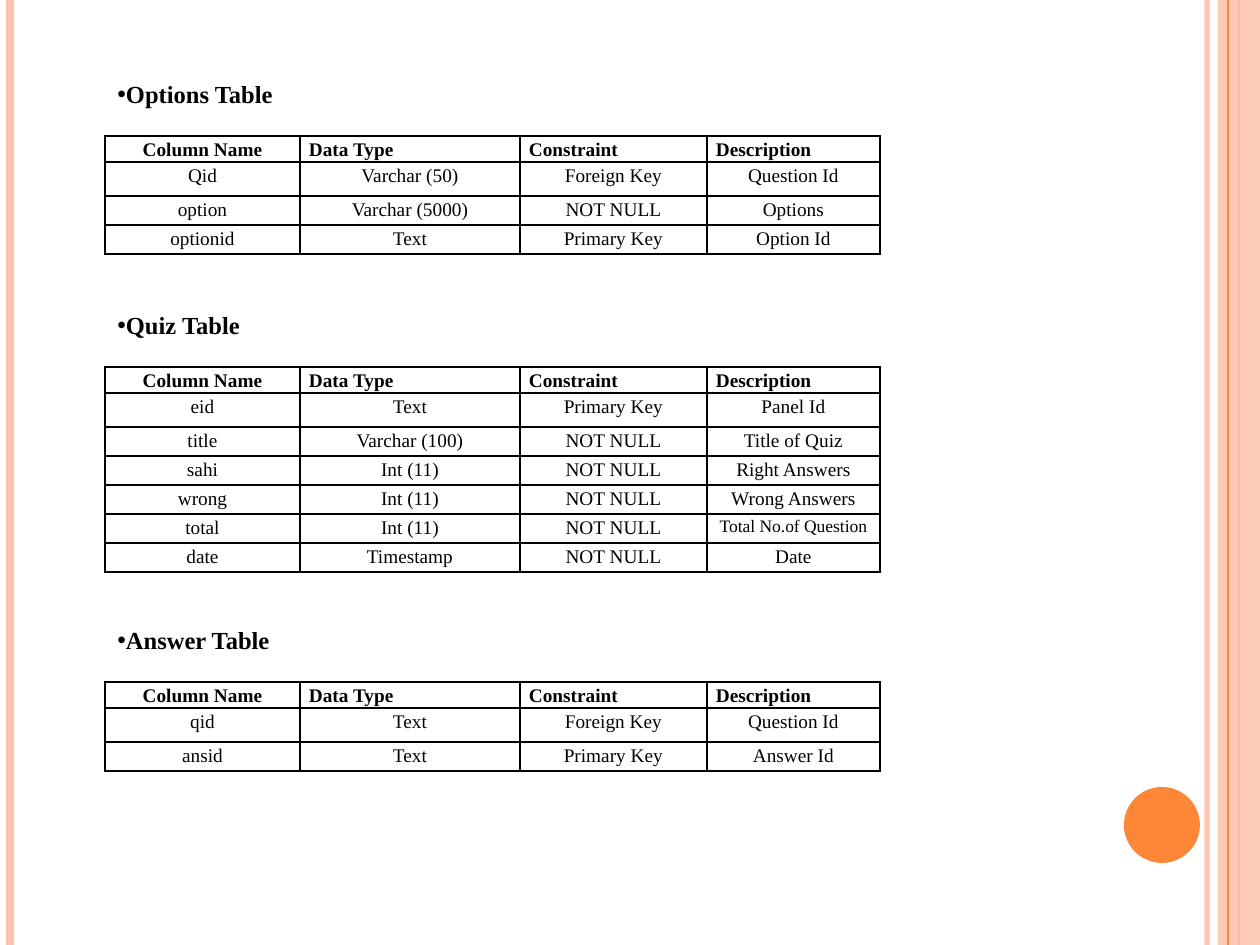
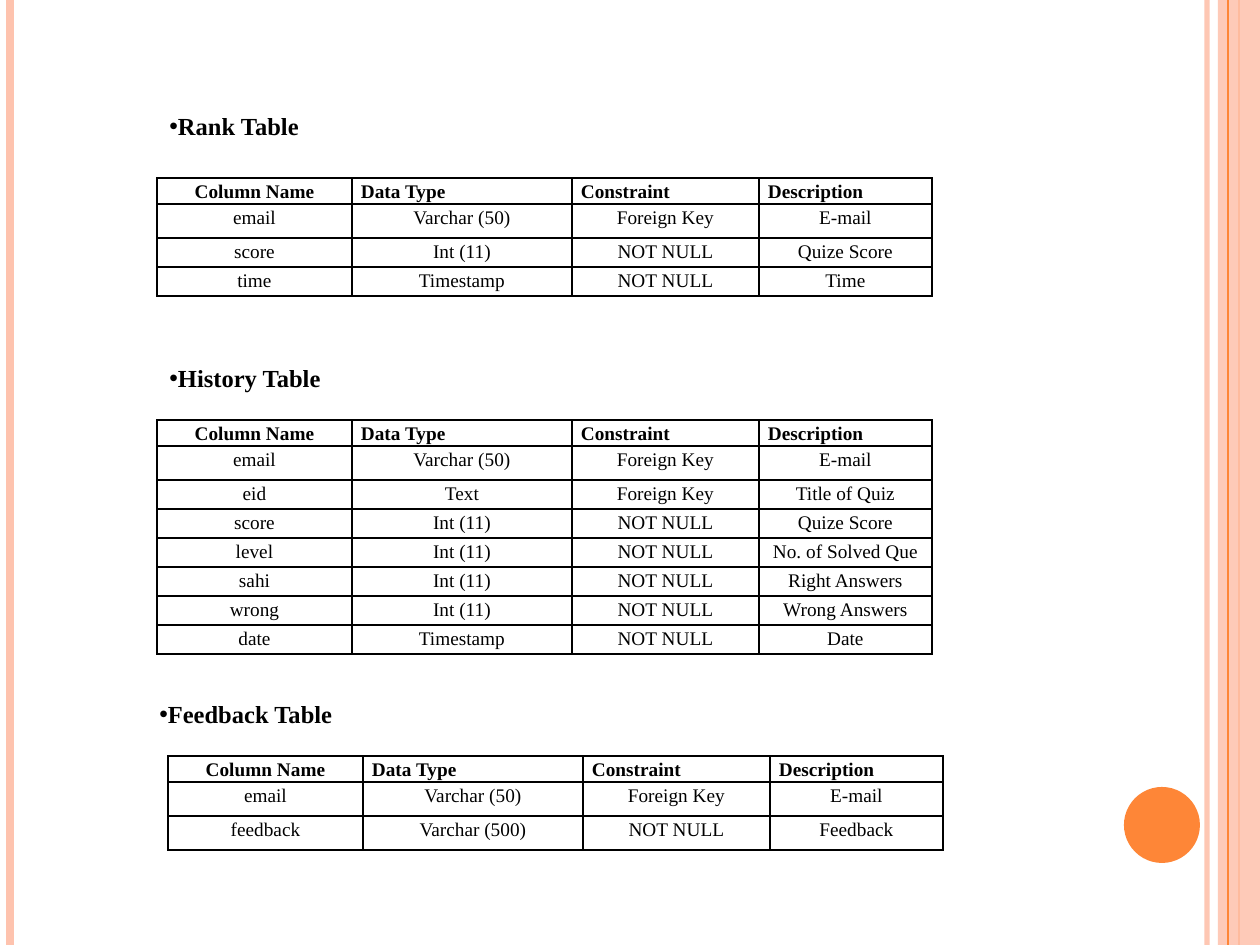
"""Build two slides that list the database tables of a quiz system."""
from dataclasses import dataclass

from lxml.etree import SubElement as Sub
from pptx import Presentation as Deck
from pptx.dml.color import RGBColor as Rgb
from pptx.enum.shapes import MSO_CONNECTOR as Link, MSO_SHAPE as Form
from pptx.enum.text import PP_ALIGN as Align
from pptx.oxml.ns import qn
from pptx.util import Emu, Pt


@dataclass(frozen=True)
class Theme:
    ink: str = "000000"
    peach: str = "FEC3AE"
    flame: str = "FE8637"
    face: str = "Times New Roman"
    head: int = 14
    body: int = 11
    small: int = 10


THEME = Theme()
SCALE = 914400 / 126
WIDE, HIGH = 1260, 945
COLS = (195, 220, 187, 173)
TOP, TALL, ROW = 26, 34, 29
LONG = 18
LABELS = ("Column Name", "Data Type", "Constraint", "Description")

OPTIONS = (
    ("Qid", "Varchar (50)", "Foreign Key", "Question Id"),
    ("option", "Varchar (5000)", "NOT NULL", "Options"),
    ("optionid", "Text", "Primary Key", "Option Id"),
)
QUIZ = (
    ("eid", "Text", "Primary Key", "Panel Id"),
    ("title", "Varchar (100)", "NOT NULL", "Title of Quiz"),
    ("sahi", "Int (11)", "NOT NULL", "Right Answers"),
    ("wrong", "Int (11)", "NOT NULL", "Wrong Answers"),
    ("total", "Int (11)", "NOT NULL", "Total No.of Question"),
    ("date", "Timestamp", "NOT NULL", "Date"),
)
ANSWER = (
    ("qid", "Text", "Foreign Key", "Question Id"),
    ("ansid", "Text", "Primary Key", "Answer Id"),
)
RANK = (
    ("email", "Varchar (50)", "Foreign Key", "E-mail"),
    ("score", "Int (11)", "NOT NULL", "Quize Score"),
    ("time", "Timestamp", "NOT NULL", "Time"),
)
HISTORY = (
    ("email", "Varchar (50)", "Foreign Key", "E-mail"),
    ("eid", "Text", "Foreign Key", "Title of Quiz"),
    ("score", "Int (11)", "NOT NULL", "Quize Score"),
    ("level", "Int (11)", "NOT NULL", "No. of Solved Que"),
    ("sahi", "Int (11)", "NOT NULL", "Right Answers"),
    ("wrong", "Int (11)", "NOT NULL", "Wrong Answers"),
    ("date", "Timestamp", "NOT NULL", "Date"),
)
FEEDBACK = (
    ("email", "Varchar (50)", "Foreign Key", "E-mail"),
    ("feedback", "Varchar (500)", "NOT NULL", "Feedback"),
)


def px(*sizes):
    """Turn px lengths into a list of EMU."""
    return [Emu(round(size * SCALE)) for size in sizes]


def fade(node, share):
    """Make the solid colour inside a node partly clear."""
    tint = next(node.iter(qn("a:srgbClr")))
    Sub(tint, qn("a:alpha"), val=str(share * 1000))


def rule(slide, x, color, width, share=100):
    """Draw a line down the full height of the slide."""
    line = slide.shapes.add_connector(Link.STRAIGHT, *px(x, 0, x, HIGH))
    line.line.color.rgb = Rgb.from_string(color)
    line.line.width = Pt(width)
    if share < 100:
        fade(line.line._get_or_add_ln(), share)
    Sub(line._element.spPr, qn("a:effectLst"))


def block(slide, form, box, color, share=100):
    """Draw a filled shape without an outline."""
    shape = slide.shapes.add_shape(form, *px(*box))
    shape.shadow.inherit = False
    shape.fill.solid()
    shape.fill.fore_color.rgb = Rgb.from_string(color)
    shape.line.fill.background()
    if share < 100:
        fade(shape._element.spPr, share)


def frame(slide):
    """Draw the side bands and the disc that all slides share."""
    rule(slide, 1207, THEME.peach, 3, 93)
    rule(slide, 10, THEME.peach, 4.5)
    rule(slide, 1239, THEME.flame, 1.5)
    block(slide, Form.RECTANGLE, (1218, 0, 42, HIGH), THEME.peach, 87)
    rule(slide, 1228, THEME.flame, 0.75)
    block(slide, Form.OVAL, (1124, 787, 76, 76), THEME.flame)


def style(para, size, bold):
    """Set the type of every run in a paragraph."""
    for run in para.runs:
        run.font.name = THEME.face
        run.font.size = Pt(size)
        run.font.bold = bold
        run.font.color.rgb = Rgb.from_string(THEME.ink)


def heading(slide, text, box):
    """Add a bold heading with a bullet."""
    text_box = slide.shapes.add_textbox(*px(*box))
    text_box.text_frame.word_wrap = True
    para = text_box.text_frame.paragraphs[0]
    para.text = text
    props = para._p.get_or_add_pPr()
    Sub(props, qn("a:buFont"), typeface="Arial")
    Sub(props, qn("a:buChar"), char="•")
    style(para, THEME.head, True)


def edge(cell):
    """Give a cell thin lines on all four sides."""
    props = cell._tc.get_or_add_tcPr()
    for side in ("lnL", "lnR", "lnT", "lnB"):
        line = Sub(props, qn("a:" + side), w=str(Pt(1)))
        fill = Sub(line, qn("a:solidFill"))
        Sub(fill, qn("a:srgbClr"), val=THEME.ink)


def fill_cell(cell, text, first, left):
    """Write and style one cell."""
    edge(cell)
    cell.fill.background()
    cell.margin_left, cell.margin_right = px(9, 9)
    cell.margin_top = cell.margin_bottom = 0
    para = cell.text_frame.paragraphs[0]
    para.text = text
    para.alignment = Align.LEFT if left else Align.CENTER
    para.line_spacing = 1.15
    para.space_after = Pt(6)
    size = THEME.small if len(text) > LONG else THEME.body
    style(para, size, first)


def grid(slide, x, y, data, tall=1):
    """Add a table whose first data rows are tall."""
    rows = (LABELS, *data)
    sizes = [TOP] + [TALL] * tall + [ROW] * (len(data) - tall)
    box = px(x, y, sum(COLS), sum(sizes))
    table = slide.shapes.add_table(len(rows), len(COLS), *box).table
    table.first_row = table.horz_banding = False
    for col, width in zip(table.columns, px(*COLS)):
        col.width = width
    for row, high in zip(table.rows, px(*sizes)):
        row.height = high
    for r, texts in enumerate(rows):
        for c, text in enumerate(texts):
            fill_cell(table.cell(r, c), text, r == 0, r == 0 and c > 0)


def page(deck):
    """Add a blank slide with the shared frame."""
    slide = deck.slides.add_slide(deck.slide_layouts[6])
    frame(slide)
    return slide


def main():
    """Build and save the slides."""
    deck = Deck()
    deck.slide_width, deck.slide_height = px(WIDE, HIGH)

    slide = page(deck)
    grid(slide, 105, 136, OPTIONS)
    grid(slide, 105, 367, QUIZ)
    grid(slide, 105, 682, ANSWER)
    heading(slide, "Options Table", (105, 73, 184, 81))
    heading(slide, "Quiz Table", (105, 304, 189, 43))
    heading(slide, "Answer Table", (105, 619, 231, 43))

    slide = page(deck)
    grid(slide, 157, 178, RANK)
    grid(slide, 157, 420, HISTORY)
    grid(slide, 168, 756, FEEDBACK, tall=2)
    heading(slide, "Rank Table", (157, 105, 160, 43))
    heading(slide, "History Table", (157, 357, 231, 72))
    heading(slide, "Feedback Table", (147, 693, 262, 72))

    deck.save("out.pptx")


if __name__ == "__main__":
    main()
